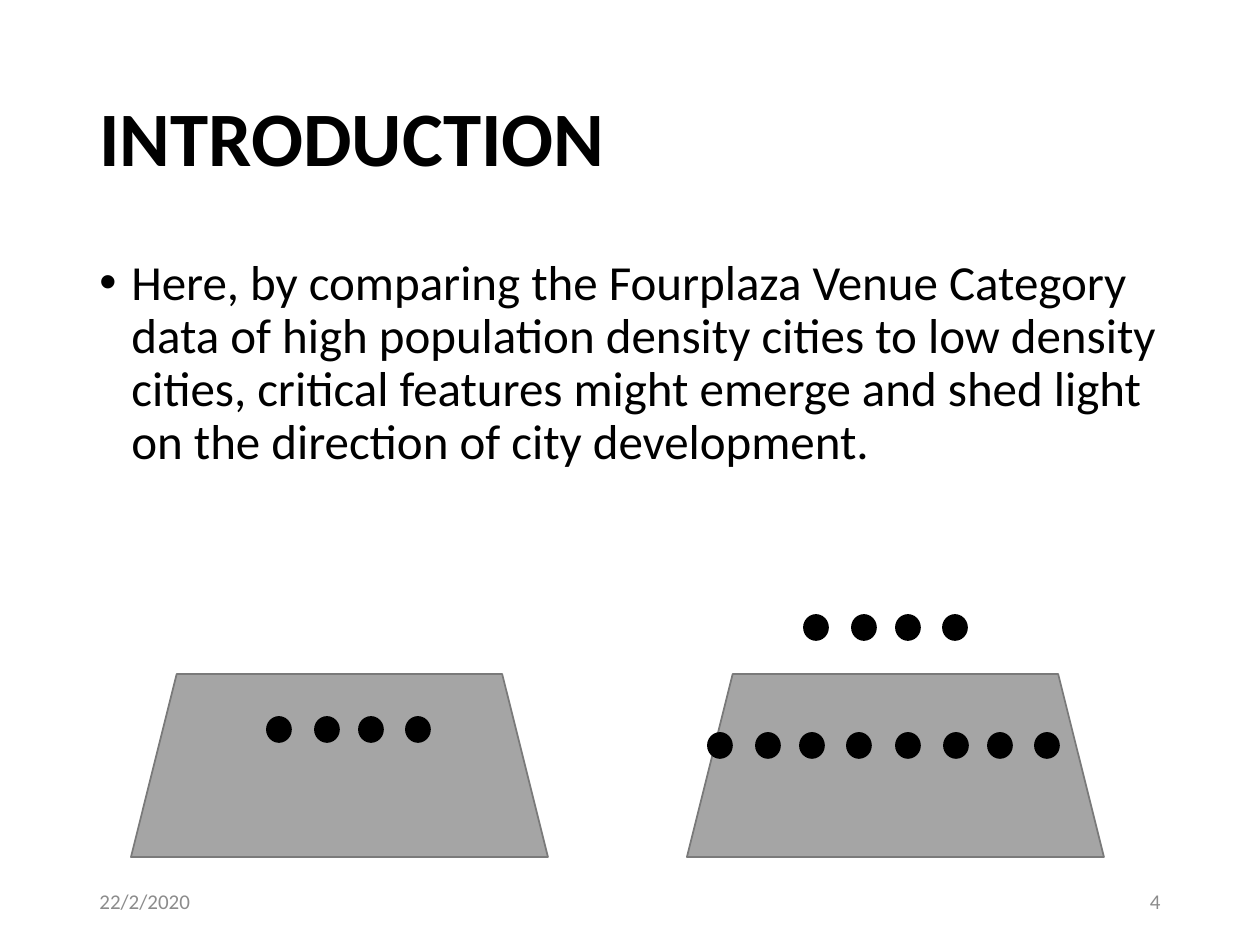
from lxml.etree import SubElement
from pptx import Presentation
from pptx.dml.color import RGBColor
from pptx.enum.shapes import MSO_SHAPE as Shape
from pptx.enum.text import MSO_ANCHOR as Anchor, PP_ALIGN as Align
from pptx.oxml.ns import qn
from pptx.util import Pt

PX = 914400 / 126
STEPS = (0, 48, 92, 139)  # left edges of the dots in a row
BODY = ("Here, by comparing the Fourplaza Venue Category data of high "
        "population density cities to low density cities, critical features "
        "might emerge and shed light on the direction of city development.")


def emu(*px):
    return [round(n * PX) for n in px]


def color(code):
    return RGBColor.from_string(code)


def add_text(slide, box, text, size, tint="000000", bold=False,
             anchor=Anchor.MIDDLE, bullet=None, **form):
    frame = slide.shapes.add_textbox(*emu(*box)).text_frame
    frame.word_wrap = True
    frame.vertical_anchor = anchor
    para = frame.paragraphs[0]
    para.text = text
    for key, val in form.items():
        setattr(para, key, val)
    if bullet:
        props = para._p.get_or_add_pPr()
        indent, = emu(32)
        props.set("marL", str(indent))
        props.set("indent", str(-indent))
        SubElement(props, qn("a:buFont")).set("typeface", "Arial")
        SubElement(props, qn("a:buChar")).set("char", bullet)
    font = para.runs[0].font
    for key, val in {"name": "Calibri", "size": Pt(size), "bold": bold}.items():
        setattr(font, key, val)
    font.color.rgb = color(tint)


def add_form(shapes, kind, box, fill, edge):
    form = shapes.add_shape(kind, *emu(*box))
    form.shadow.inherit = False
    form.fill.solid()
    form.fill.fore_color.rgb = color(fill)
    form.line.color.rgb = color(edge)
    form.line.width = Pt(1)


def add_dots(slide, left, top):
    """Add one group of four dots."""
    group = slide.shapes.add_group_shape()
    for step in STEPS:
        add_form(group.shapes, Shape.OVAL, (left + step, top, 24, 25),
                 "000000", "000000")


def add_city(slide, box, rows):
    """Add a plot of land, with dot groups placed from its top left corner."""
    left, top, _, _ = box
    add_form(slide.shapes, Shape.TRAPEZOID, box, "A5A5A5", "7A7A7A")
    for dx, dy in rows:
        add_dots(slide, left + dx, top + dy)


def add_footer(slide, box, date, number):
    left, top, width, height = box
    part = 284
    add_text(slide, (left, top, part, height), date, 12, "8C8C8C")
    add_text(slide, (left + width - part, top, part, height), number, 12,
             "8C8C8C", alignment=Align.RIGHT)


def main():
    deck = Presentation()
    deck.slide_width, deck.slide_height = emu(1260, 945)
    slide = deck.slides.add_slide(deck.slide_layouts[6])
    add_text(slide, (87, 50, 1086, 183), "INTRODUCTION", 44, bold=True,
             line_spacing=0.9)
    add_text(slide, (87, 252, 1086, 275), BODY, 28, anchor=Anchor.TOP,
             bullet="•", line_spacing=0.9)
    add_city(slide, (131, 674, 417, 183), [(136, 43)])
    add_city(slide, (687, 674, 417, 183), [(21, 59), (209, 59), (117, -59)])
    add_footer(slide, (87, 876, 1086, 50), "22/2/2020", "4")
    deck.save("out.pptx")


if __name__ == "__main__":
    main()
